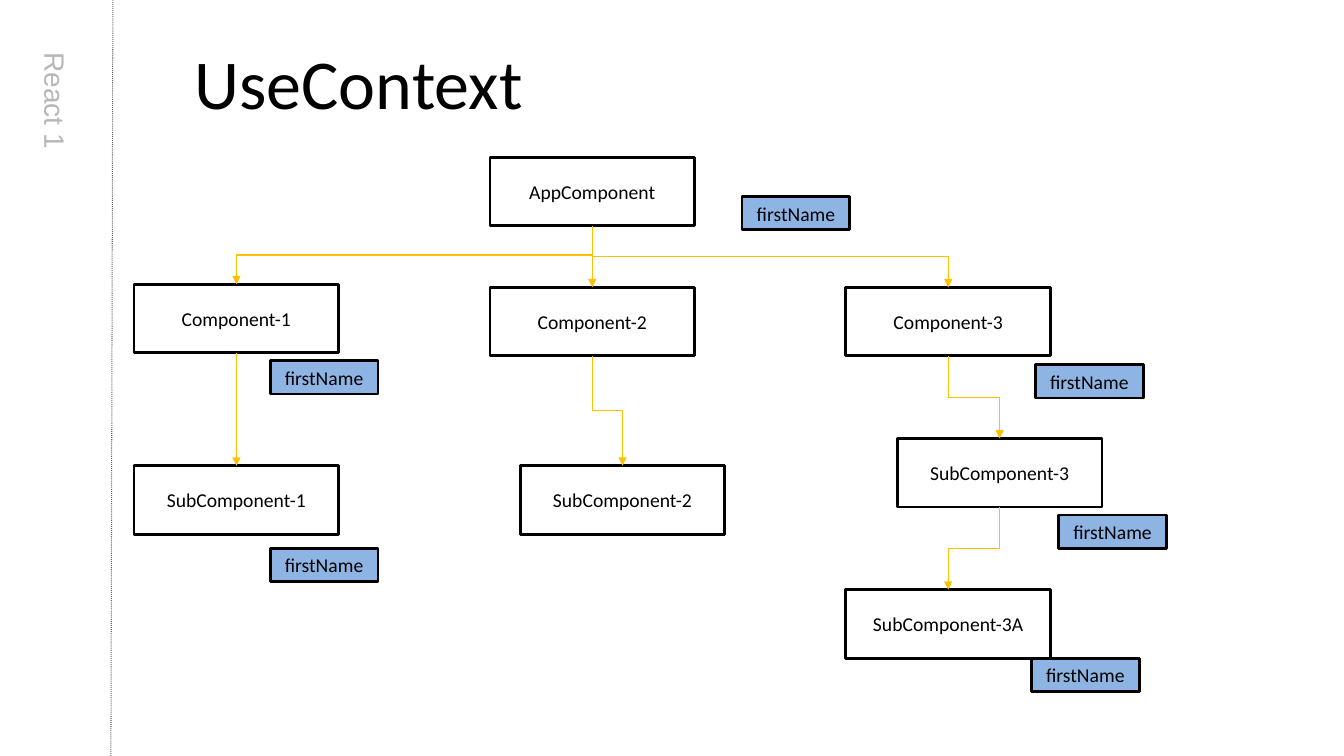
"""Builds the UseContext slide: a component tree with firstName tags."""
from dataclasses import dataclass

from pptx import Presentation
from pptx.dml.color import RGBColor
from pptx.enum.dml import MSO_LINE
from pptx.enum.shapes import MSO_CONNECTOR, MSO_SHAPE
from pptx.enum.text import MSO_ANCHOR, PP_ALIGN
from pptx.oxml.ns import qn
from pptx.oxml.xmlchemy import OxmlElement
from pptx.util import Inches, Pt

RECT = MSO_SHAPE.RECTANGLE
STRAIGHT, ELBOW = MSO_CONNECTOR.STRAIGHT, MSO_CONNECTOR.ELBOW
LEFT, CENTER, MIDDLE = PP_ALIGN.LEFT, PP_ALIGN.CENTER, MSO_ANCHOR.MIDDLE
DOT = MSO_LINE.ROUND_DOT
BOTTOM_SIDE, TOP_SIDE = 2, 0


@dataclass(frozen=True)
class Theme:
    ink: str = "000000"
    paper: str = "FFFFFF"
    tag: str = "8EB4E3"
    arrow: str = "FFC000"
    course: str = "B7B7B7"
    rule: str = "666666"
    body_font: str = "Calibri"
    course_font: str = "Arial"
    title_size: int = 50
    course_size: int = 20
    body_size: int = 14
    border: float = 2
    hairline: float = 0.75


T = Theme()
COL_LEFT, COL_STEP = 1.33, 3.53
BOX_W, BOX_H = 2.03, 0.68
TAG_W, TAG_H = 1.07, 0.33

COMPONENTS = [
    ("AppComponent", 1, 0, 1.56, None, (2.5, 0.39)),
    ("Component-1", 0, 0, 2.82, "AppComponent", (1.35, 0.76)),
    ("Component-2", 1, 0, 2.85, "AppComponent", None),
    ("Component-3", 2, 0, 2.85, "AppComponent", (1.88, 0.77)),
    ("SubComponent-1", 0, 0, 4.62, "Component-1", (1.35, 0.82)),
    ("SubComponent-2", 1, 0.3, 4.62, "Component-2", None),
    ("SubComponent-3", 2, 0.51, 4.35, "Component-3", (1.6, 0.76)),
    ("SubComponent-3A", 2, 0, 5.85, "SubComponent-3", (1.84, 0.68)),
]


def write(sp, text, size, font, color, align):
    tf = sp.text_frame
    tf.text = text
    tf.vertical_anchor = MIDDLE
    p = tf.paragraphs[0]
    p.alignment = align
    f = p.runs[0].font
    f.size, f.name = Pt(size), font
    f.color.rgb = RGBColor.from_string(color)


def add_box(text, x, y, w, h, fill):
    sp = s.shapes.add_shape(RECT, Inches(x), Inches(y), Inches(w), Inches(h))
    sp.shadow.inherit = False
    sp.fill.solid()
    sp.fill.fore_color.rgb = RGBColor.from_string(fill)
    sp.line.color.rgb = RGBColor.from_string(T.ink)
    sp.line.width = Pt(T.border)
    write(sp, text, T.body_size, T.body_font, T.ink, CENTER)
    return sp


prs = Presentation()
prs.slide_width, prs.slide_height = Inches(13.33), Inches(7.5)
s = prs.slides.add_slide(prs.slide_layouts[5])

title = s.shapes.title
title.left, title.top = Inches(1.83), Inches(0.31)
title.width, title.height = Inches(11.5), Inches(1)
write(title, "UseContext", T.title_size, T.body_font, T.ink, LEFT)

course = s.shapes.add_textbox(Inches(-1.65), Inches(2.55), Inches(4.4), Inches(0.34))
course.rotation = 90
tf = course.text_frame
tf.word_wrap = True
tf.margin_left = tf.margin_right = tf.margin_top = tf.margin_bottom = 0
write(course, "React 1", T.course_size, T.course_font, T.course, LEFT)

rule = s.shapes.add_connector(STRAIGHT, Inches(1.1), prs.slide_height, Inches(1.12), 0)
rule.line.color.rgb = RGBColor.from_string(T.rule)
rule.line.width = Pt(T.hairline)
rule.line.dash_style = DOT
rule._element.spPr.append(OxmlElement("a:effectLst"))

boxes = {}
for name, col, shift, y, parent, tag in COMPONENTS:
    x = COL_LEFT + COL_STEP * col + shift
    boxes[name] = add_box(name, x, y, BOX_W, BOX_H, T.paper)

for name, col, shift, y, parent, tag in COMPONENTS:
    if parent is None:
        continue
    start, end = boxes[parent], boxes[name]
    dx = end.left - start.left
    c = s.shapes.add_connector(ELBOW if dx else STRAIGHT, 0, 0, 0, 0)
    c.begin_connect(start, BOTTOM_SIDE)
    c.end_connect(end, TOP_SIDE)
    if dx:
        x1, y1, x2, y2 = c.begin_x, c.begin_y, c.end_x, c.end_y
        c.width, c.height = y2 - y1, abs(dx)
        c.left = (x1 + x2 - c.width) // 2
        c.top = (y1 + y2 - c.height) // 2
        xfrm = c._element.spPr.find(qn("a:xfrm"))
        xfrm.set("rot", "16200000" if dx > 0 else "5400000")
        xfrm.set("flipH", "1" if dx > 0 else "0")
    c.line.color.rgb = RGBColor.from_string(T.arrow)
    c.line.width = Pt(T.hairline)
    head = OxmlElement("a:tailEnd")
    head.set("type", "triangle")
    c.line._get_or_add_ln().append(head)
    c._element.spPr.append(OxmlElement("a:effectLst"))

for name, col, shift, y, parent, tag in COMPONENTS:
    if tag:
        x = COL_LEFT + COL_STEP * col + shift
        add_box("firstName", x + tag[0], y + tag[1], TAG_W, TAG_H, T.tag)

prs.save("out.pptx")
